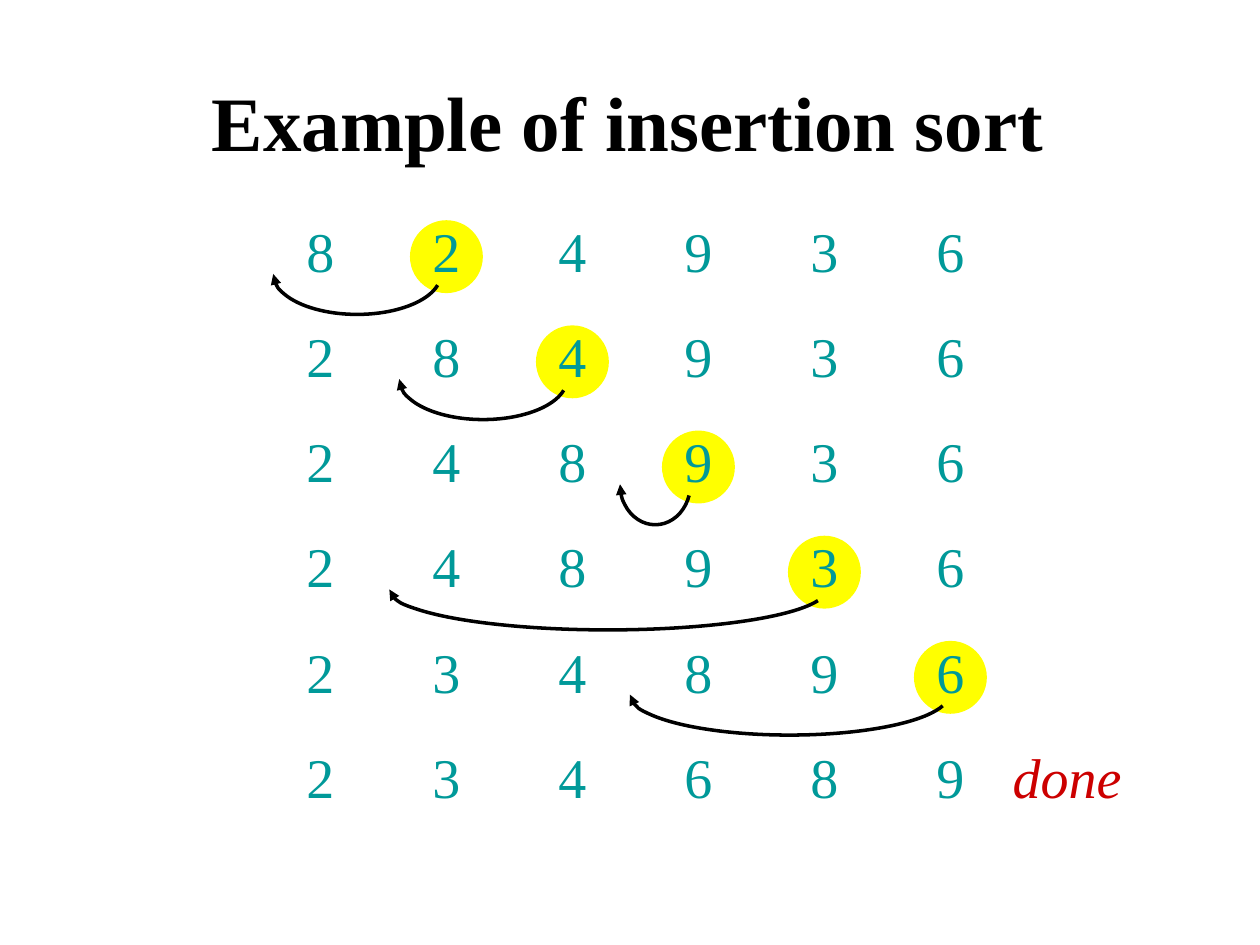
"""Build a slide that walks through insertion sort row by row."""
import math
from dataclasses import dataclass
from typing import Optional

import pptx
import pptx.dml.color
import pptx.enum.shapes
import pptx.enum.text
import pptx.oxml
import pptx.oxml.ns
import pptx.util
from lxml import etree

Cm = pptx.util.Cm
RGBColor = pptx.dml.color.RGBColor
Shapes = pptx.enum.shapes.MSO_SHAPE
Align = pptx.enum.text.PP_ALIGN

BLACK = RGBColor(0x00, 0x00, 0x00)
TEAL = RGBColor(0x00, 0x99, 0x99)
YELLOW = RGBColor(0xFF, 0xFF, 0x00)
RED = RGBColor(0xCC, 0x00, 0x00)
FONT = "Times New Roman"

FIRST_CENTER = 6.46
COLUMN_PITCH = 2.54
FIRST_TOP = 4.24
ROW_PITCH = 2.12
TEXT_HEIGHT = 1.63
DIGIT_WIDTH = 1.07
CIRCLE_SIZE = 1.47
CIRCLE_DROP = 0.2
ARC_DROP = 0.47
ARC_START = math.radians(16)
ARC_UNITS_PER_DEGREE = 0.6


@dataclass(frozen=True)
class Move:
    """The highlighted column and the arrow that carries it left."""

    column: int
    arc_left: float
    arc_width: float


@dataclass(frozen=True)
class Step:
    """One state of the list and the move made from it."""

    digits: str
    move: Optional[Move] = None


STEPS = (
    Step("824936", Move(1, 5.51, 3.38)),
    Step("284936", Move(2, 8.05, 3.38)),
    Step("248936", Move(3, 12.5, 1.42)),
    Step("248936", Move(4, 7.85, 8.81)),
    Step("234896", Move(5, 12.7, 6.43)),
    Step("234689"),
)


def column_center(column: int) -> float:
    """Return the horizontal centre of a column in centimetres."""
    return FIRST_CENTER + column * COLUMN_PITCH


def add_text(slide, text: str, left: float, top: float, width: float, height: float,
             size: int = 32, color: RGBColor = TEAL, align=Align.CENTER):
    """Add a text box with one run and return the box and the run."""
    box = slide.shapes.add_textbox(Cm(left), Cm(top), Cm(width), Cm(height))
    box.text_frame.word_wrap = False
    box.text_frame.auto_size = pptx.enum.text.MSO_AUTO_SIZE.SHAPE_TO_FIT_TEXT
    paragraph = box.text_frame.paragraphs[0]
    paragraph.alignment = align
    run = paragraph.add_run()
    run.text = text
    run.font.name = FONT
    run.font.size = pptx.util.Pt(size)
    run.font.color.rgb = color
    return box, run


def add_title(slide) -> None:
    """Add the slide title."""
    box, run = add_text(slide, "Example of insertion sort", 4.02, 0.84, 20.95, 3.18,
                        44, BLACK, Align.LEFT)
    box.text_frame.word_wrap = True
    box.text_frame.auto_size = pptx.enum.text.MSO_AUTO_SIZE.NONE
    box.text_frame.vertical_anchor = pptx.enum.text.MSO_ANCHOR.MIDDLE
    run.font.bold = True


def add_circle(slide, column: int, top: float) -> None:
    """Highlight the digit that is about to move."""
    circle = slide.shapes.add_shape(
        Shapes.OVAL, Cm(column_center(column) - CIRCLE_SIZE / 2), Cm(top + CIRCLE_DROP),
        Cm(CIRCLE_SIZE), Cm(CIRCLE_SIZE))
    circle.shadow.inherit = False
    circle.fill.solid()
    circle.fill.fore_color.rgb = YELLOW
    circle.line.fill.background()


def add_arc_arrow(slide, move: Move, top: float) -> None:
    """Draw the curved arrow from the digit to its new place."""
    arc = slide.shapes.add_shape(
        Shapes.ARC, Cm(move.arc_left), Cm(top + ARC_DROP), Cm(move.arc_width), Cm(TEXT_HEIGHT))
    start = math.degrees(math.atan2(TEXT_HEIGHT * math.sin(ARC_START),
                                    move.arc_width * math.cos(ARC_START)))
    arc.adjustments[0] = start * ARC_UNITS_PER_DEGREE
    arc.adjustments[1] = 180 * ARC_UNITS_PER_DEGREE
    arc.shadow.inherit = False
    arc.fill.background()
    arc.line.color.rgb = BLACK
    arc.line.width = pptx.util.Pt(2)
    line = arc.element.spPr.find(pptx.oxml.ns.qn("a:ln"))
    etree.SubElement(line, pptx.oxml.ns.qn("a:tailEnd"), type="triangle")


def add_step(slide, step: Step, top: float) -> None:
    """Draw one row of digits with its highlight and arrow."""
    if step.move:
        add_circle(slide, step.move.column, top)
    for column, digit in enumerate(step.digits):
        add_text(slide, digit, column_center(column) - DIGIT_WIDTH / 2, top,
                 DIGIT_WIDTH, TEXT_HEIGHT)
    if step.move:
        add_arc_arrow(slide, step.move, top)


def main() -> None:
    """Create and save the presentation."""
    presentation = pptx.Presentation()
    presentation.slide_width = Cm(25.4)
    presentation.slide_height = Cm(19.05)
    slide = presentation.slides.add_slide(presentation.slide_layouts[6])
    add_title(slide)
    for row, step in enumerate(STEPS):
        add_step(slide, step, FIRST_TOP + row * ROW_PITCH)
    last_top = FIRST_TOP + (len(STEPS) - 1) * ROW_PITCH
    _, done = add_text(slide, "done", 20.07, last_top, 2.88, TEXT_HEIGHT, color=RED)
    done.font.italic = True
    presentation.save("out.pptx")


if __name__ == "__main__":
    main()
